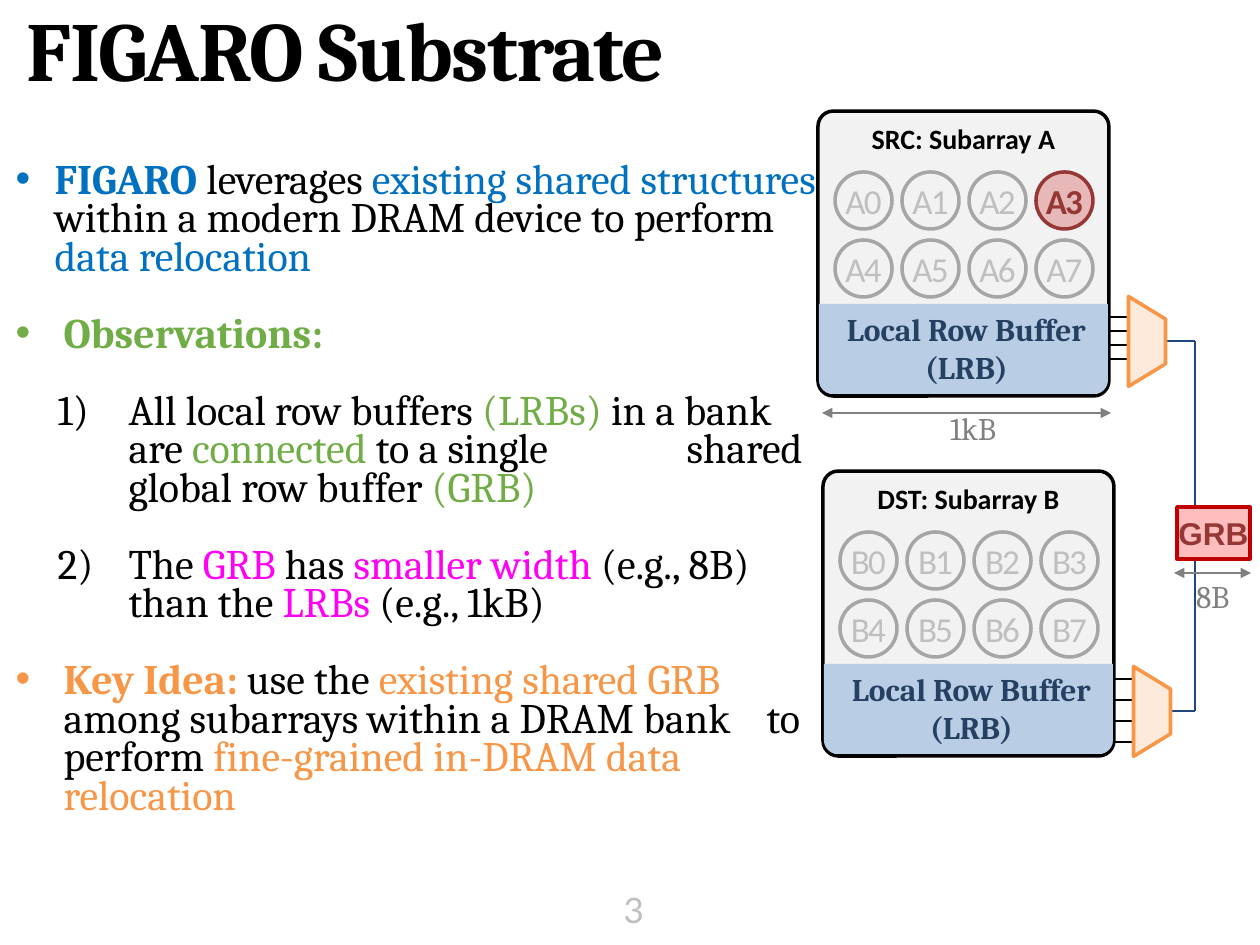
from lxml import etree
from pptx import Presentation
from pptx.dml.color import RGBColor
from pptx.enum.shapes import MSO_CONNECTOR, MSO_SHAPE
from pptx.enum.text import MSO_ANCHOR, MSO_AUTO_SIZE, PP_ALIGN
from pptx.oxml.ns import qn
from pptx.util import Emu, Pt

SCALE = 914400 / 126
LEFT, CENTER, RIGHT = PP_ALIGN.LEFT, PP_ALIGN.CENTER, PP_ALIGN.RIGHT
TOP, MIDDLE = MSO_ANCHOR.TOP, MSO_ANCHOR.MIDDLE
NO_FIT = MSO_AUTO_SIZE.NONE
STRAIGHT = MSO_CONNECTOR.STRAIGHT
RECT, OVAL = MSO_SHAPE.RECTANGLE, MSO_SHAPE.OVAL
ROUNDED, TRAPEZOID = MSO_SHAPE.ROUNDED_RECTANGLE, MSO_SHAPE.TRAPEZOID
ROUND_2_SAME = MSO_SHAPE.ROUND_2_SAME_RECTANGLE

BLACK = RGBColor(0x00, 0x00, 0x00)
BLUE = RGBColor(0x00, 0x70, 0xC0)
GREEN = RGBColor(0x70, 0xAD, 0x47)
MAGENTA = RGBColor(0xFF, 0x00, 0xF5)
ORANGE = RGBColor(0xF7, 0x96, 0x46)
PEACH = RGBColor(0xFD, 0xEA, 0xDA)
PANEL = RGBColor(0xF2, 0xF2, 0xF2)
CELL_LINE = RGBColor(0xA6, 0xA6, 0xA6)
PALE = RGBColor(0xBF, 0xBF, 0xBF)
GRAY = RGBColor(0x80, 0x80, 0x80)
BUFFER = RGBColor(0xB9, 0xCD, 0xE5)
NAVY = RGBColor(0x25, 0x40, 0x61)
WIRE = RGBColor(0x1F, 0x49, 0x7D)
PINK = RGBColor(0xE6, 0xB9, 0xB8)
MAROON = RGBColor(0x95, 0x37, 0x35)
GRB_FILL = RGBColor(0xFF, 0xBD, 0xBD)
RED = RGBColor(0xC0, 0x00, 0x00)

BULLET, POINT, NUMBER = (39, "buChar"), (48, "buChar"), (113, "buAutoNum")
BODY = [
    (BULLET, None, [
        ("FIGARO ", BLUE, True), ("leverages ", BLACK, False),
        ("existing shared structures", BLUE, False),
        (" within a modern DRAM device to perform ", BLACK, False),
        ("data relocation", BLUE, False)]),
    (POINT, None, [("Observations:", GREEN, True)]),
    (NUMBER, 671, [
        ("All local row buffers ", BLACK, False), ("(LRBs) ", GREEN, False),
        ("in a bank are ", BLACK, False), ("connected", GREEN, False),
        (" to a single\tshared global row buffer ", BLACK, False),
        ("(GRB)", GREEN, False)]),
    (NUMBER, None, [
        ("The ", BLACK, False), ("GRB ", MAGENTA, False), ("has ", BLACK, False),
        ("smaller width ", MAGENTA, False), ("(e.g., 8B) than the ", BLACK, False),
        ("LRBs ", MAGENTA, False), ("(e.g., 1kB)", BLACK, False)]),
    (POINT, 751, [
        ("Key Idea: ", ORANGE, True), ("use the ", BLACK, False),
        ("existing shared GRB ", ORANGE, False),
        ("among subarrays within a DRAM bank\tto perform ", BLACK, False),
        ("fine-grained in-DRAM data relocation", ORANGE, False)]),
]


def px(n):
    return Emu(round(n * SCALE))


def place(sp, x, y, w, h):
    sp.left, sp.top, sp.width, sp.height = px(x), px(y), px(w), px(h)


def style(r, font, size, color, bold=False, spacing=None):
    r.font.name, r.font.size, r.font.bold = font, Pt(size), bold
    r.font.color.rgb = color
    if spacing:
        r.font._element.set("spc", str(spacing))


def write(sp, text, look, align=CENTER, anchor=MIDDLE, insets=(0, 0, 0, 0), wrap=False):
    tf = sp.text_frame
    tf.text = text
    tf.auto_size, tf.word_wrap, tf.vertical_anchor = NO_FIT, wrap, anchor
    tf.margin_left, tf.margin_top, tf.margin_right, tf.margin_bottom = map(px, insets)
    for p in tf.paragraphs:
        p.alignment = align
        for r in p.runs:
            style(r, *look)


def add_shape(s, kind, x, y, w, h, fill, line=None, adjust=()):
    sp = s.shapes.add_shape(kind, px(x), px(y), px(w), px(h))
    sp.shadow.inherit = False
    sp.fill.solid()
    sp.fill.fore_color.rgb = fill
    if line is None:
        sp.line.fill.background()
    else:
        sp.line.color.rgb, sp.line.width = line, Pt(2)
    for i, value in enumerate(adjust):
        sp.adjustments[i] = value
    return sp


def add_line(s, x1, y1, x2, y2, color, width=0.75, arrows=False):
    cn = s.shapes.add_connector(STRAIGHT, px(x1), px(y1), px(x2), px(y2))
    cn.line.color.rgb, cn.line.width = color, Pt(width)
    if arrows:
        ln = cn.line._get_or_add_ln()
        for end in ("a:headEnd", "a:tailEnd"):
            etree.SubElement(ln, qn(end), type="triangle")
    etree.SubElement(cn._element.spPr, qn("a:effectLst"))


def add_label(s, text, x, y, w, h, look, align=LEFT, anchor=TOP, insets=(13, 6, 13, 6)):
    write(s.shapes.add_textbox(px(x), px(y), px(w), px(h)), text, look, align, anchor, insets)


def add_list_mark(p, margin, mark, tab):
    pPr = p._p.get_or_add_pPr()
    hang = 71 if mark == "buAutoNum" else margin
    pPr.set("marL", str(px(margin)))
    pPr.set("indent", str(-px(hang)))
    if mark == "buAutoNum":
        p.level = 1
        etree.SubElement(pPr, qn("a:buFont"), typeface="+mj-lt")
        etree.SubElement(pPr, qn("a:buAutoNum"), type="arabicParenR")
    else:
        etree.SubElement(pPr, qn("a:buFont"), typeface="Arial")
        etree.SubElement(pPr, qn("a:buChar"), char="•")
    if tab:
        tabs = etree.SubElement(pPr, qn("a:tabLst"))
        etree.SubElement(tabs, qn("a:tab"), pos=str(px(tab)), algn="l")


def fill_body(sp):
    place(sp, 3, 158, 828, 766)
    tf = sp.text_frame
    tf.auto_size, tf.word_wrap, tf.vertical_anchor = NO_FIT, True, TOP
    for i, ((margin, mark), tab, runs) in enumerate(BODY):
        p = tf.add_paragraph() if i else tf.paragraphs[0]
        add_list_mark(p, margin, mark, tab)
        p.alignment, p.line_spacing = LEFT, Pt(22)
        p.space_before, p.space_after = Pt(22 if i else 0), Pt(0)
        for text, color, bold in runs:
            r = p.add_run()
            r.text = text
            style(r, "Cambria", 24, color, bold)


def add_subarray(s, x, y, title, letter, picked, pin_top, pin_gap, mux_y):
    panel = add_shape(s, ROUNDED, x, y, 291, 285, PANEL, BLACK, [0.054])
    write(panel, title, ("Calibri", 16, BLACK, True), anchor=TOP, insets=(0, 6, 0, 0))
    for i in range(8):
        name = f"{letter}{i}"
        hot = name == picked
        fill, line, ink = (PINK, MAROON, MAROON) if hot else (PANEL, CELL_LINE, PALE)
        row, col = divmod(i, 4)
        cell = add_shape(s, OVAL, x + 17 + 67 * col, y + 61 + 68 * row, 57, 57, fill, line)
        write(cell, name, ("Calibri", 20, ink, hot, -110))
    lrb = add_shape(s, ROUND_2_SAME, x + 1, y + 193, 289, 90, BUFFER, adjust=[0, 0.152])
    write(lrb, "Local Row Buffer\n(LRB)", ("Cambria", 18, NAVY, True), insets=(6, 2, 0, 0))
    for i in range(4):
        pin_y = pin_top + pin_gap * i
        add_line(s, x + 310, pin_y, x + 291, pin_y, BLACK)
    add_line(s, x + 347, mux_y, 1195, mux_y, WIRE)
    mux = add_shape(s, TRAPEZOID, x + 284, mux_y - 18, 90, 37, PEACH, ORANGE, [0.611])
    mux.rotation = 90


def add_global_buffer(s, top, bottom):
    add_line(s, 1195, top, 1195, 508, WIRE)
    add_line(s, 1195, 546, 1195, bottom, WIRE)
    grb = add_shape(s, RECT, 1177, 507, 73, 52, GRB_FILL, RED)
    write(grb, "GRB", ("Arial", 18, MAROON, True))


def add_dimension(s, x1, x2, y, text, text_x, text_y):
    add_label(s, text, text_x, text_y, 80, 50, ("Cambria", 18, GRAY))
    add_line(s, x2, y, x1, y, GRAY, 1.5, True)


def main():
    prs = Presentation()
    prs.slide_width, prs.slide_height = px(1260), px(945)
    s = prs.slides.add_slide(prs.slide_layouts[1])
    title, body = s.placeholders
    place(title, 21, 21, 1095, 59)
    write(title, "FIGARO Substrate", ("Cambria", 48, BLACK, True, -100),
          LEFT, insets=(6, 0, 6, 6), wrap=True)
    fill_body(body)
    add_subarray(s, 823, 471, "DST: Subarray B", "B", None, 679, 21, 711)
    add_subarray(s, 818, 111, "SRC: Subarray A", "A", "A3", 317, 14, 341)
    add_global_buffer(s, 341, 711)
    add_dimension(s, 822, 1111, 413, "1kB", 937, 403)
    add_dimension(s, 1174, 1251, 573, "8B", 1183, 571)
    add_label(s, "3", 451, 891, 199, 38, ("Lato", 20, PALE), RIGHT, MIDDLE, (6, 0, 6, 0))
    prs.save("out.pptx")


if __name__ == "__main__":
    main()
